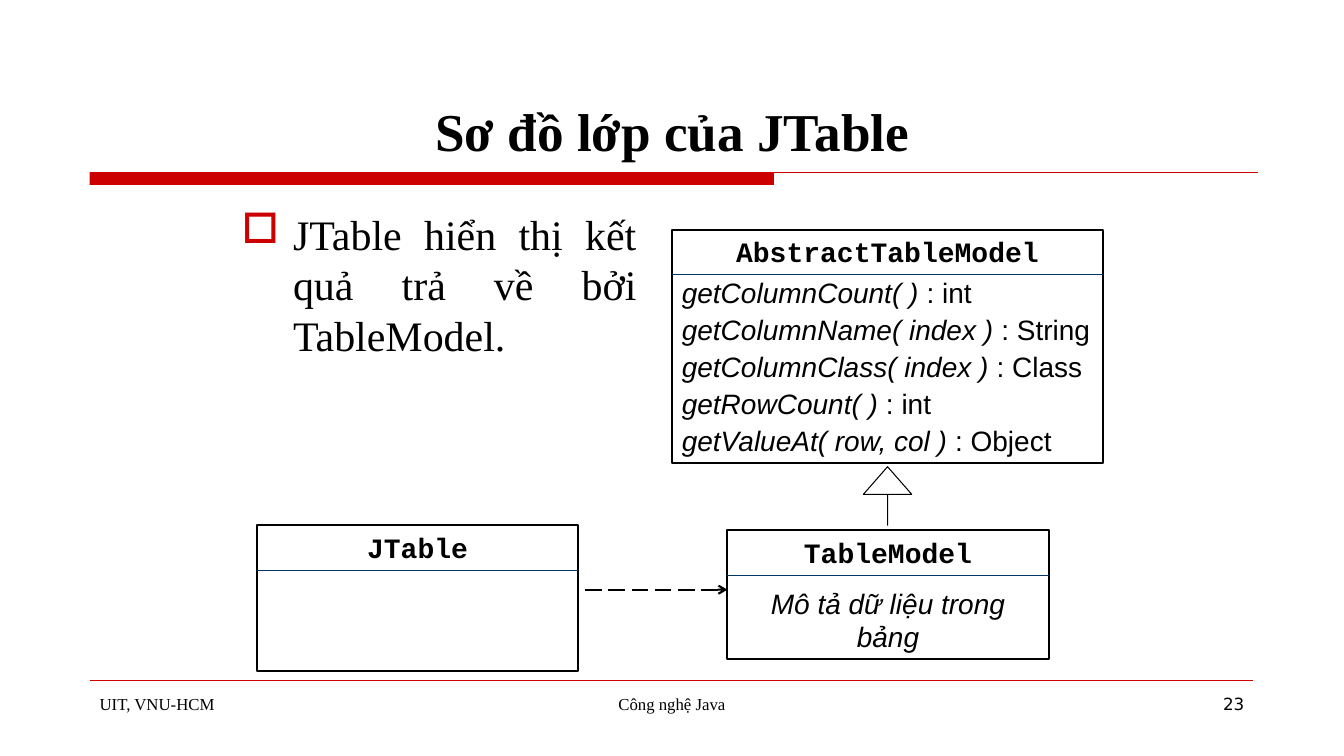
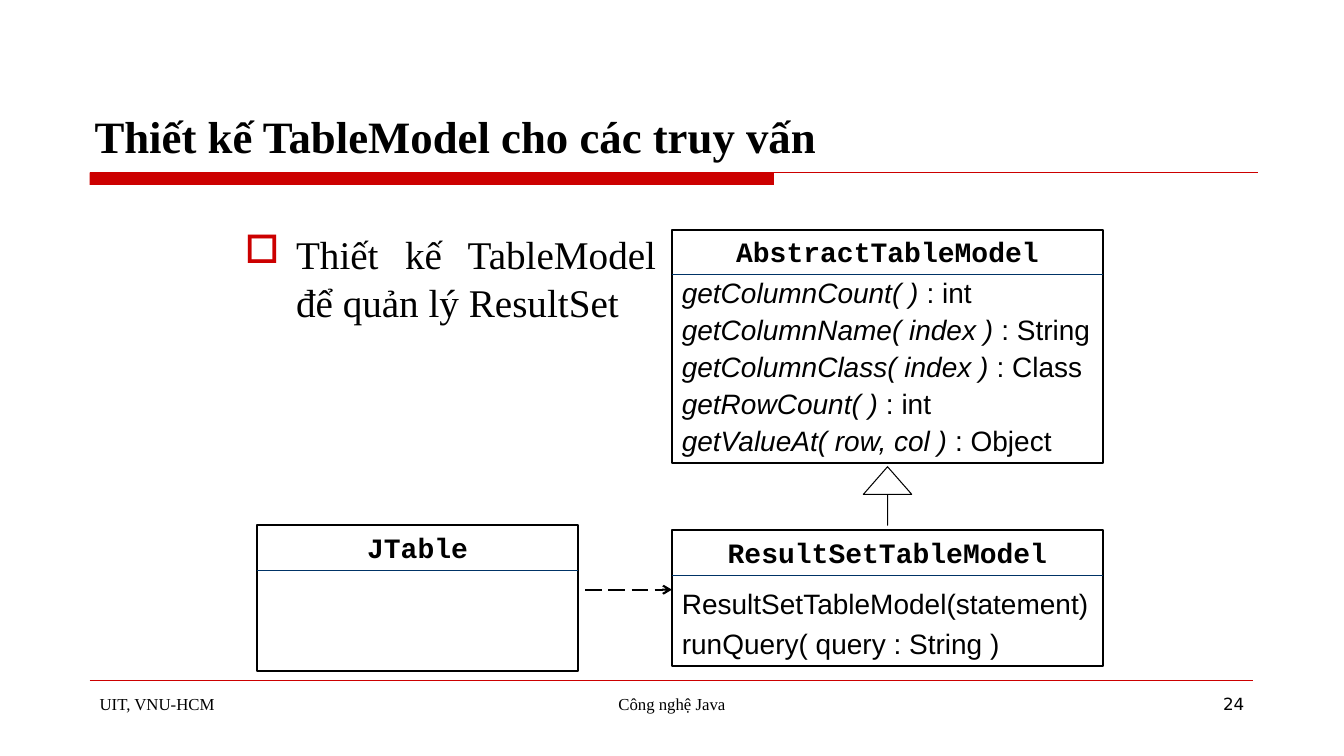
import pptx
import pptx.util
import pptx.dml.color
import pptx.enum.dml
import pptx.enum.shapes
import pptx.enum.text
import pptx.oxml
import pptx.oxml.ns

Pt = pptx.util.Pt
ALIGN = pptx.enum.text.PP_ALIGN
ANCHOR = pptx.enum.text.MSO_ANCHOR
SHAPE = pptx.enum.shapes.MSO_SHAPE

# Shared style
BLACK, RED, NAVY, WHITE = "000000", "CC0000", "003366", "FFFFFF"
SERIF, SANS, MONO, DIGITS = "Times New Roman", "Arial", "Courier New", "DejaVu Sans"
MEMBER = {"name": SANS, "size": Pt(20)}
ABSTRACT = {**MEMBER, "italic": True}
CLASS_NAME = {"name": MONO, "size": Pt(20), "bold": True}

# Class boxes: left, top, width, height
MODEL_BOX = (480.2, 164.2, 308.2, 166.3)
JTABLE_BOX = (183.6, 375.1, 229.7, 104.4)
HEADER_HEIGHT = 32.2


def color(value):
    return pptx.dml.color.RGBColor.from_string(value)


def add_xml(parent, tag, **attributes):
    child = pptx.oxml.parse_xml(f'<{tag} {pptx.oxml.ns.nsdecls("a")}/>')
    for name, value in attributes.items():
        child.set(name, value)
    parent.append(child)
    return child


class Slides:
    """Holds the deck, its style and the current page."""

    def __init__(self):
        self.deck = pptx.Presentation()
        self.deck.slide_width, self.deck.slide_height = Pt(960.48), Pt(540)
        self.page = None

    def new_page(self, title, size, align, number):
        self.page = self.deck.slides.add_slide(self.deck.slide_layouts[6])
        # Band under the title and line above the footer
        band = self.shape(SHAPE.RECTANGLE, (64.1, 123.3, 489, 8.7), fill=RED)
        band.line.fill.background()
        self.line(64.1, 123.3, 899.3, 123.3, RED, 0.75)
        self.line(64.1, 486, 895.7, 486, RED, 0.25)
        # Title
        self.text((60.5, 23.8, 840.2, 95.8),
                  [(align, 0, [(title, {"name": SERIF, "size": Pt(size), "bold": True})])],
                  ANCHOR.BOTTOM)
        # Footer
        for left, width, side, words, font in (
                (64.1, 208.1, ALIGN.LEFT, "UIT, VNU-HCM", SERIF),
                (328.3, 303.8, ALIGN.CENTER, "Công nghệ Java", SERIF),
                (688.3, 208.1, ALIGN.RIGHT, str(number), DIGITS)):
            self.text((left, 491.8, width, 37.4),
                      [(side, 0, [(words, {"name": font, "size": Pt(12)})])])

    def fill_text(self, frame, paragraphs, anchor=ANCHOR.TOP):
        frame.word_wrap = True
        frame.vertical_anchor = anchor
        for index, (align, before, spans) in enumerate(paragraphs):
            para = frame.add_paragraph() if index else frame.paragraphs[0]
            para.alignment, para.space_before = align, Pt(before)
            for words, formats in spans:
                span = para.add_run()
                span.text = words
                span.font.color.rgb = color(BLACK)
                for name, value in formats.items():
                    setattr(span.font, name, value)

    def text(self, place, paragraphs, anchor=ANCHOR.TOP):
        box = self.page.shapes.add_textbox(*map(Pt, place))
        self.fill_text(box.text_frame, paragraphs, anchor)
        return box

    def bullet(self, place, words, size):
        box = self.text(place, [(ALIGN.JUSTIFY, 0, [(words, {"name": SERIF, "size": Pt(size)})])])
        props = box.text_frame.paragraphs[0]._p.get_or_add_pPr()
        props.set("marL", str(Pt(36.7)))
        props.set("indent", str(-Pt(36.7)))
        add_xml(add_xml(props, "a:buClr"), "a:srgbClr", val=RED)
        add_xml(props, "a:buChar", char="□")

    def shape(self, kind, place, fill=None, weight=0.75):
        shape = self.page.shapes.add_shape(kind, *map(Pt, place))
        shape.shadow.inherit = False
        if fill:
            shape.fill.solid()
            shape.fill.fore_color.rgb = color(fill)
        else:
            shape.fill.background()
        shape.line.color.rgb = color(BLACK)
        shape.line.width = Pt(weight)
        return shape

    def line(self, x1, y1, x2, y2, stroke, weight):
        line = self.page.shapes.add_connector(
            pptx.enum.shapes.MSO_CONNECTOR.STRAIGHT, *map(Pt, (x1, y1, x2, y2)))
        line.line.color.rgb = color(stroke)
        line.line.width = Pt(weight)
        add_xml(line._element.spPr, "a:effectLst")
        return line

    def class_box(self, place, name, members=()):
        left, top, width, _ = place
        box = self.shape(SHAPE.RECTANGLE, place, weight=1.5)
        self.fill_text(box.text_frame, [(ALIGN.CENTER, 0, [(name, CLASS_NAME)]), *members])
        rule = top + HEADER_HEIGHT
        self.line(left, rule, left + width, rule, NAVY, 0.75)

    def uses_arrow(self, end):
        arrow = self.line(418.3, 421.2, end, 421.2, BLACK, 1.5)
        arrow.line.dash_style = pptx.enum.dml.MSO_LINE.LONG_DASH
        add_xml(arrow.line._get_or_add_ln(), "a:tailEnd", type="arrow")

    def inherits_arrow(self):
        arrow = self.shape(SHAPE.RIGHT_ARROW, (613.4, 337, 41.8, 34.6), fill=WHITE)
        arrow.rotation = 270
        arrow.adjustments[0], arrow.adjustments[1] = 0, 0.57

    def diagram(self, place, name, members):
        """JTable uses the named class, which extends AbstractTableModel."""
        self.class_box(JTABLE_BOX, "JTable")
        self.uses_arrow(place[0])
        self.class_box(place, name, members)
        methods = (("getColumnCount( ) ", "int"), ("getColumnName( index ) ", "String"),
                   ("getColumnClass( index ) ", "Class"), ("getRowCount( ) ", "int"),
                   ("getValueAt( row, col ) ", "Object"))
        self.class_box(MODEL_BOX, "AbstractTableModel", [
            (ALIGN.LEFT, 2.5 if index else 5, [(call, ABSTRACT), (f": {result}", MEMBER)])
            for index, (call, result) in enumerate(methods)])
        self.inherits_arrow()


def main():
    slides = Slides()

    # Class diagram of JTable
    slides.new_page("Sơ đồ lớp của JTable", 38, ALIGN.CENTER, 23)
    slides.bullet((165.6, 145.4, 296.6, 124.6),
                  "JTable hiển thị kết quả trả về bởi TableModel.", 30)
    slides.diagram((519.8, 378.7, 229.7, 92.2), "TableModel",
                   [(ALIGN.CENTER, 12.5, [("Mô tả dữ liệu trong bảng", ABSTRACT)])])

    # Table model for queries
    slides.new_page("Thiết kế TableModel cho các truy vấn", 32, ALIGN.LEFT, 24)
    slides.bullet((167.8, 161.3, 308.2, 190.1),
                  "Thiết kế TableModel để quản lý ResultSet", 28)
    slides.diagram((480.2, 378.7, 308.2, 97.2), "ResultSetTableModel",
                   [(ALIGN.LEFT, 12.5, [("ResultSetTableModel(statement)", MEMBER)]),
                    (ALIGN.LEFT, 5, [("runQuery( query : String )", MEMBER)])])

    slides.deck.save("out.pptx")


if __name__ == "__main__":
    main()
